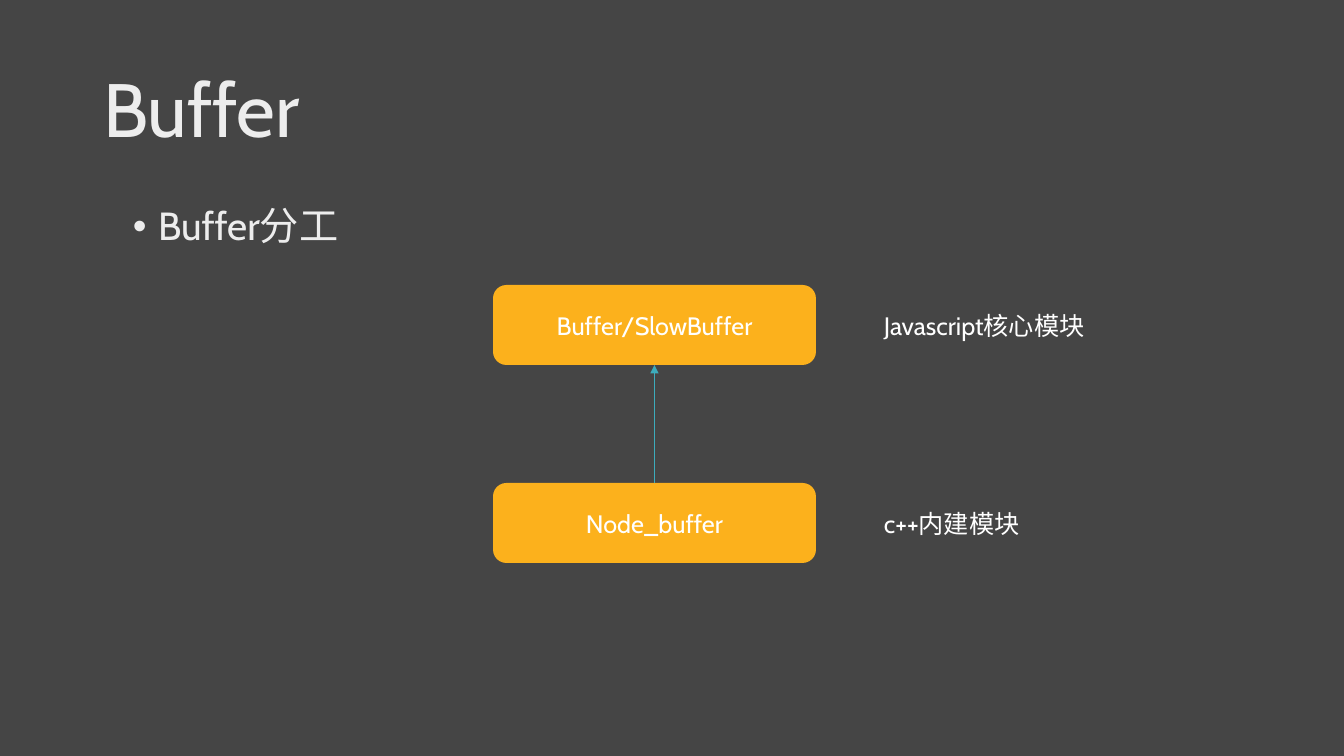
from dataclasses import dataclass

from lxml import etree
from pptx import Presentation
from pptx import util as u
from pptx.dml.color import RGBColor
from pptx.enum import shapes, text
from pptx.oxml.ns import qn

PX = 12192000 / 1344  # EMU per px
FONT = "Cabin"
BACKGROUND = RGBColor(0x45, 0x45, 0x45)
HEADING = RGBColor(0xED, 0xED, 0xED)
WHITE = RGBColor(0xFF, 0xFF, 0xFF)
ORANGE = RGBColor(0xFC, 0xB1, 0x1C)
TEAL = RGBColor(0x3D, 0xAC, 0xBC)

BOX_LEFT, BOX_TOP, BOX_WIDTH, BOX_HEIGHT = 493, 285, 323, 80
LAYER_PITCH = 198
LABEL_LEFT, LABEL_OFFSET, LABEL_HEIGHT = 874, 20, 40


@dataclass
class Layer:
    name: str
    label: str
    label_width: int


LAYERS = [
    Layer("Buffer/SlowBuffer", "Javascript核心模块", 230),
    Layer("Node_buffer", "c++内建模块", 159),
]


def px(value: int) -> u.Emu:
    return u.Emu(round(value * PX))


def write(shape, words: str, size: int, color: RGBColor, align=text.PP_ALIGN.LEFT):
    """Fill a shape with one formatted paragraph and return it."""
    frame = shape.text_frame
    frame.text = words
    frame.word_wrap = True
    para = frame.paragraphs[0]
    para.alignment = align
    for span in para.runs:
        span.font.name = FONT
        span.font.size = u.Pt(size)
        span.font.color.rgb = color
    return para


def add_text(page, left: int, top: int, width: int, height: int,
             words: str, size: int, color: RGBColor):
    box = page.shapes.add_textbox(px(left), px(top), px(width), px(height))
    return write(box, words, size, color)


def add_title(page, words: str) -> None:
    title = page.shapes.title
    title.left, title.top, title.width, title.height = map(px, (93, 40, 1159, 146))
    para = write(title, words, 54, HEADING)
    para.line_spacing = 0.9
    title.text_frame.auto_size = text.MSO_AUTO_SIZE.NONE
    title.text_frame.vertical_anchor = text.MSO_ANCHOR.MIDDLE


def add_bullet(page, words: str) -> None:
    para = add_text(page, 123, 202, 1128, 480, words, 28, HEADING)
    para.line_spacing = 0.9
    para.space_before = u.Pt(10)
    properties = para._p.get_or_add_pPr()
    properties.set("marL", str(u.Inches(0.25)))
    properties.set("indent", str(-u.Inches(0.25)))
    etree.SubElement(properties, qn("a:buFont"), typeface="Arial")
    etree.SubElement(properties, qn("a:buChar"), char="•")


def add_layer(page, layer: Layer, top: int):
    box = page.shapes.add_shape(shapes.MSO_SHAPE.ROUNDED_RECTANGLE, px(BOX_LEFT),
                                px(top), px(BOX_WIDTH), px(BOX_HEIGHT))
    box.shadow.inherit = False
    box.fill.solid()
    box.fill.fore_color.rgb = ORANGE
    box.line.fill.background()
    box.text_frame.vertical_anchor = text.MSO_ANCHOR.MIDDLE
    write(box, layer.name, 18, WHITE, text.PP_ALIGN.CENTER)
    add_text(page, LABEL_LEFT, top + LABEL_OFFSET, layer.label_width,
             LABEL_HEIGHT, layer.label, 18, WHITE)
    return box


def add_arrow(page, lower, upper) -> None:
    arrow = page.shapes.add_connector(shapes.MSO_CONNECTOR.STRAIGHT, 0, 0, 0, 0)
    arrow.begin_connect(lower, 0)
    arrow.end_connect(upper, 2)
    arrow.line.color.rgb = TEAL
    arrow.line.width = u.Pt(0.75)
    etree.SubElement(arrow.line._get_or_add_ln(), qn("a:tailEnd"), type="triangle")
    etree.SubElement(arrow._element.spPr, qn("a:effectLst"))


def main() -> None:
    deck = Presentation()
    deck.slide_width, deck.slide_height = px(1344), px(756)
    page = deck.slides.add_slide(deck.slide_layouts.get_by_name("Title Only"))
    page.background.fill.solid()
    page.background.fill.fore_color.rgb = BACKGROUND

    # Heading
    add_title(page, "Buffer")
    add_bullet(page, "Buffer分工")

    # Module layers, the lower one feeding the upper one
    upper, lower = [add_layer(page, layer, BOX_TOP + row * LAYER_PITCH)
                    for row, layer in enumerate(LAYERS)]
    add_arrow(page, lower, upper)

    deck.save("out.pptx")


if __name__ == "__main__":
    main()
